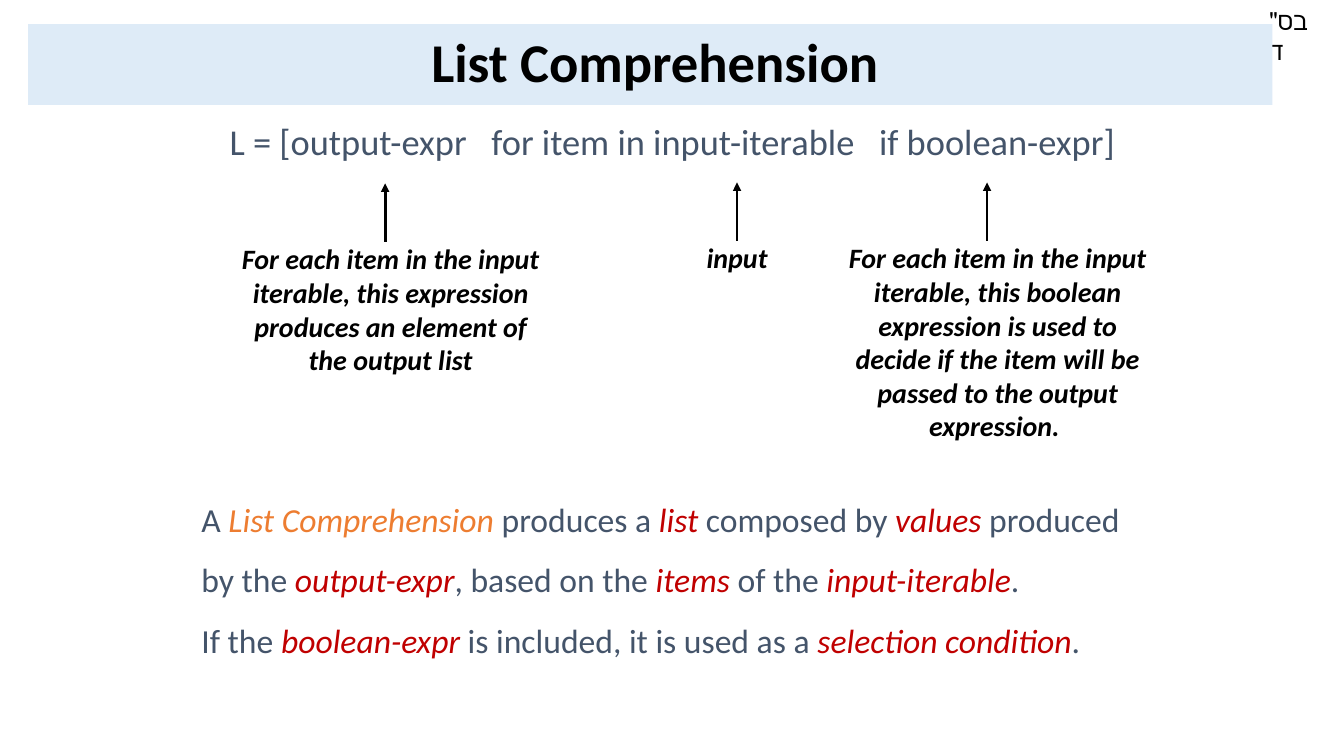
from lxml.etree import SubElement
from pptx import Presentation
from pptx.dml.color import RGBColor
from pptx.enum.shapes import MSO_CONNECTOR, MSO_SHAPE
from pptx.enum.text import MSO_ANCHOR, PP_ALIGN
from pptx.oxml.ns import qn
from pptx.util import Inches, Pt

COLORS = {
    "black": "000000",
    "band": "DEEBF7",
    "slate": "44546A",
    "orange": "ED7D31",
    "red": "C00000",
}
FONT = "Calibri"
TITLE = "List Comprehension"
CORNER = "בס\"ד"
FORMULA = "L = [output-expr   for item in input-iterable   if boolean-expr]"
CALLOUTS = [
    ("input", 6.8, 2.34, 1.02, 0.44, 7.31),
    ("For each item in the input iterable, this expression produces "
     "an element of the output list", 2.24, 2.35, 3.27, 1.45, 3.82),
    ("For each item in the input iterable, this boolean expression is used to "
     "decide if the item will be passed to the output expression. ",
     8.22, 2.34, 3.35, 2.12, 9.79),
]
ARROW_LENGTH = 0.58
ARROW_OVERLAP = 0.05
EXPLANATION = [
    [("A ", "slate"), ("List Comprehension ", "orange"), ("produces a ", "slate"),
     ("list ", "red"), ("composed by ", "slate"), ("values", "red"),
     (" produced by the ", "slate"), ("output-expr", "red"),
     (", based on the ", "slate"), ("items", "red"), (" of the ", "slate"),
     ("input-iterable", "red"), (".", "slate")],
    [("If the ", "slate"), ("boolean-expr", "red"),
     (" is included, it is used as a ", "slate"),
     ("selection condition", "red"), (".", "slate")],
]


def color(name):
    return RGBColor.from_string(COLORS[name])


def style(paragraph, size, tint="black", bold=False, italic=None,
          align=PP_ALIGN.LEFT, spacing=None):
    paragraph.alignment = align
    if spacing:
        paragraph.line_spacing = spacing
    font = paragraph.font
    font.name = FONT
    font.size = Pt(size)
    font.bold = bold
    font.italic = italic
    font.color.rgb = color(tint)


def add_text(shapes, text, left, top, width, height, size, **look):
    box = shapes.add_textbox(Inches(left), Inches(top), Inches(width), Inches(height))
    box.text_frame.word_wrap = True
    para = box.text_frame.paragraphs[0]
    para.text = text
    style(para, size, **look)


def add_arrow(shapes, x, bottom):
    arrow = shapes.add_connector(MSO_CONNECTOR.STRAIGHT, Inches(x), Inches(bottom),
                                 Inches(x), Inches(bottom - ARROW_LENGTH))
    arrow.line.width = Pt(2)
    arrow.line.color.rgb = color("black")
    SubElement(arrow.line._get_or_add_ln(), qn("a:tailEnd"), type="triangle")
    SubElement(arrow._element.spPr, qn("a:effectLst"))


def add_callout(page, text, left, top, width, height, arrow_x):
    group = page.shapes.add_group_shape()
    add_text(group.shapes, text, left, top, width, height, 20,
             bold=True, italic=True, align=PP_ALIGN.CENTER)
    add_arrow(group.shapes, arrow_x, top + ARROW_OVERLAP)


def add_explanation(page):
    box = page.shapes.add_textbox(Inches(1.9), Inches(4.7), Inches(9.53), Inches(1.97))
    frame = box.text_frame
    frame.word_wrap = True
    for index, parts in enumerate(EXPLANATION):
        para = frame.add_paragraph() if index else frame.paragraphs[0]
        style(para, 24, "slate", spacing=1.5)
        for text, tint in parts:
            span = para.add_run()
            span.text = text
            span.font.name = FONT
            span.font.size = Pt(24)
            span.font.italic = tint != "slate"
            span.font.color.rgb = color(tint)


def add_title(page):
    band = page.shapes.add_shape(MSO_SHAPE.RECTANGLE, Inches(0.28), Inches(0.24),
                                 Inches(12.34), Inches(0.8))
    band.shadow.inherit = False
    band.fill.solid()
    band.fill.fore_color.rgb = color("band")
    band.line.fill.background()
    frame = band.text_frame
    frame.word_wrap = True
    frame.margin_left = Inches(0.19)
    frame.vertical_anchor = MSO_ANCHOR.MIDDLE
    para = frame.paragraphs[0]
    para.text = TITLE
    style(para, 39, bold=True, align=PP_ALIGN.CENTER, spacing=0.9)


def main():
    deck = Presentation()
    deck.slide_width = Inches(13.33)
    deck.slide_height = Inches(7.5)
    page = deck.slides.add_slide(deck.slide_layouts[6])
    add_text(page.shapes, CORNER, 12.49, 0, 0.7, 0.4, 18)
    add_text(page.shapes, FORMULA, 1.91, 1.18, 9.53, 0.63, 26,
             tint="slate", align=PP_ALIGN.CENTER, spacing=0.9)
    for callout in CALLOUTS:
        add_callout(page, *callout)
    add_explanation(page)
    add_title(page)
    deck.save("out.pptx")


if __name__ == "__main__":
    main()
